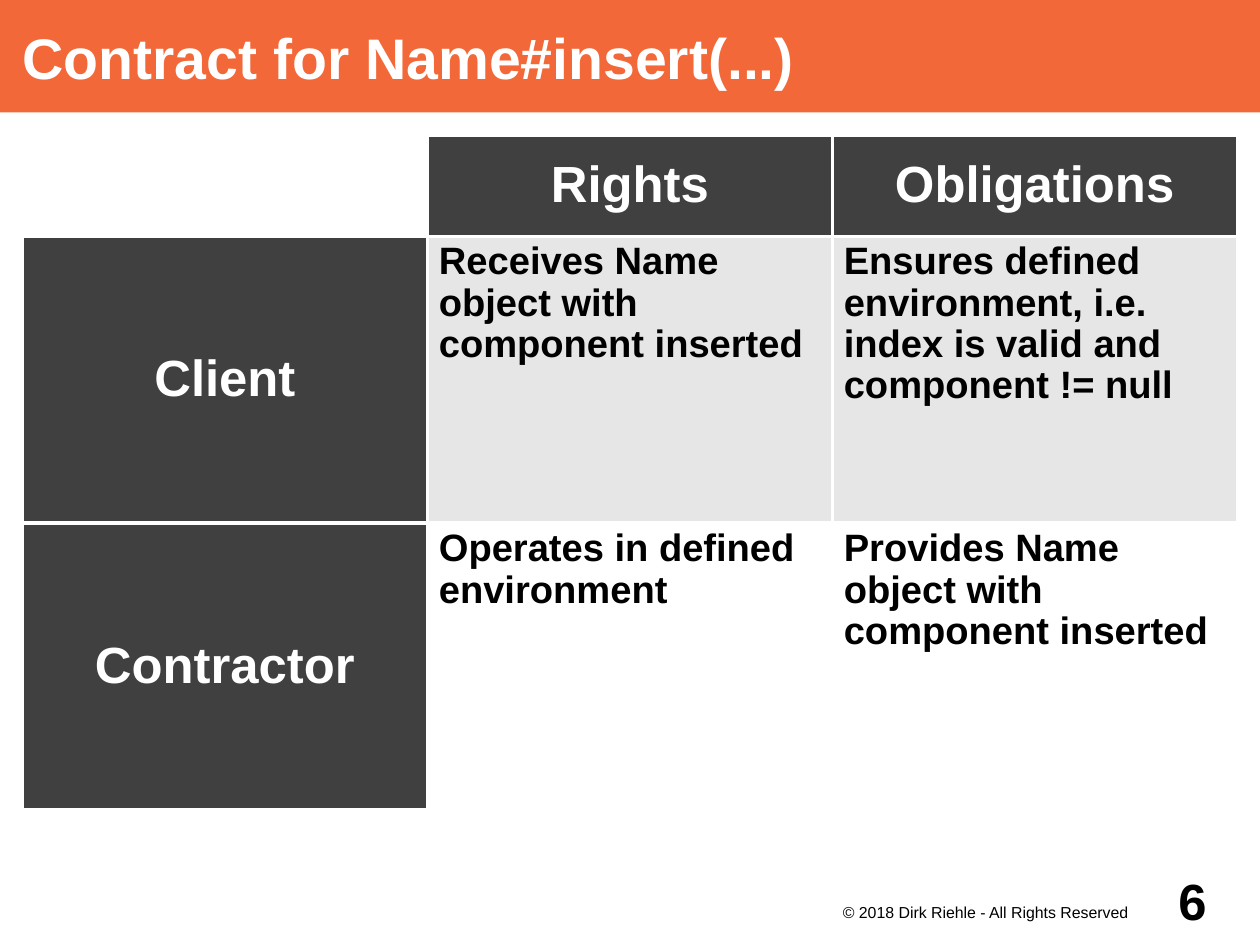
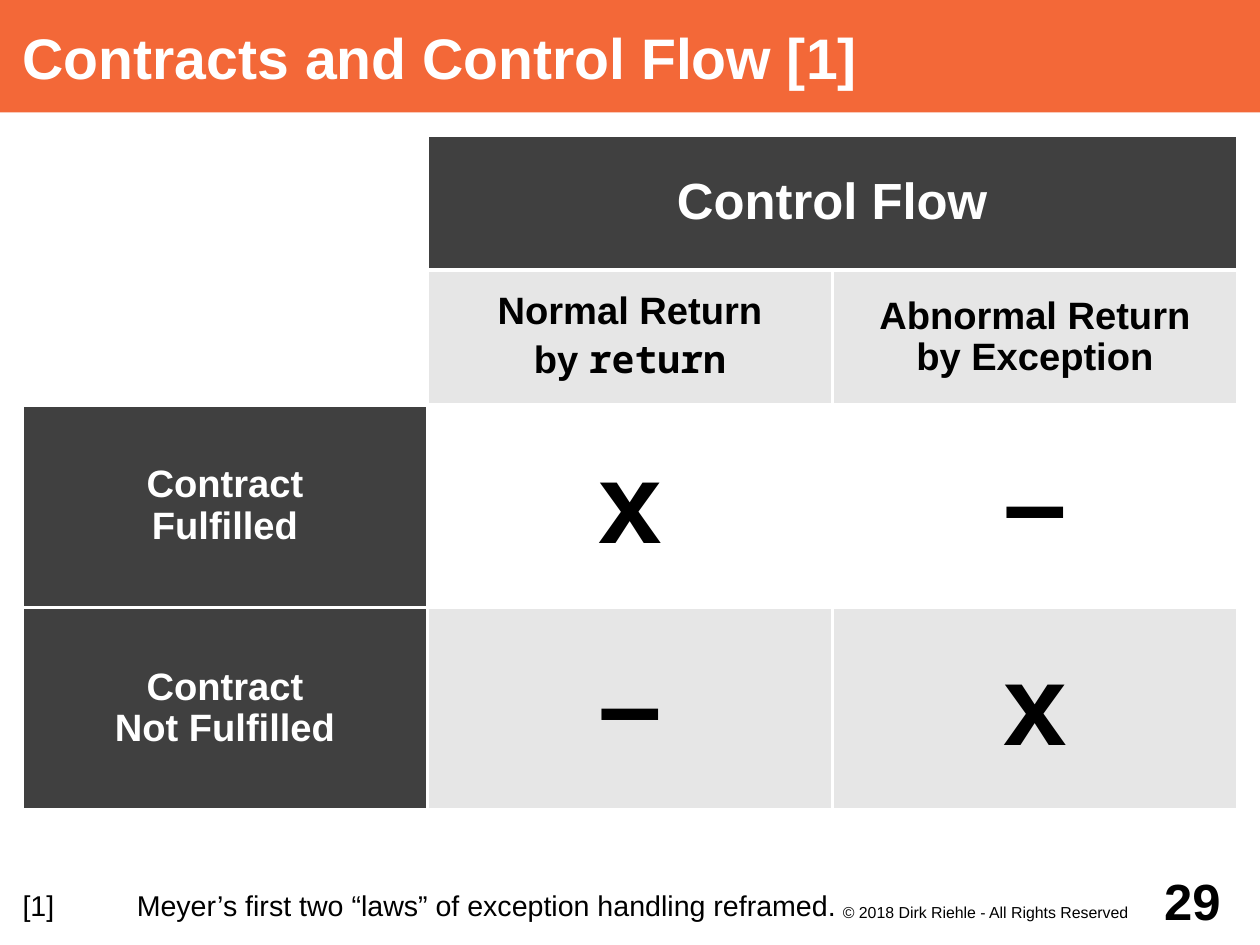
from dataclasses import dataclass

from lxml.etree import SubElement
from pptx import Presentation
from pptx.dml.color import RGBColor
from pptx.enum.text import MSO_ANCHOR, MSO_AUTO_SIZE, PP_ALIGN
from pptx.oxml.ns import qn
from pptx.util import Pt

STEP = 14.17
BORDER = 2.27
SANS, MONO = "Arial", "Noto Sans Mono"
ORANGE, DARK, LIGHT = "F36838", "404040", "E6E6E6"
WHITE, BLACK = "FFFFFF", "000000"
PAGE_SIZE = (56, 42)
TITLE_BOX = (0, 0, 56, 5)
TABLE_BOX = (1, 6, 54, 30)
COPYRIGHT_BOX = (40, 36, 16, 6)
NOTE_BOX = (0, 34, 40, 8)
CORNER_BOX = (36, 38, 20, 4)


@dataclass
class CellStyle:
    fill: str
    size: int = 24
    color: str = BLACK
    align: PP_ALIGN = PP_ALIGN.CENTER
    anchor: MSO_ANCHOR = MSO_ANCHOR.MIDDLE


BLANK = CellStyle(WHITE)
HEADING = CellStyle(DARK, 32, WHITE)
ROW_LABEL = CellStyle(DARK, 24, WHITE)
SUBHEADING = CellStyle(LIGHT)
MARK_PLAIN = CellStyle(WHITE, 72)
MARK_SHADED = CellStyle(LIGHT, 72)
BODY_PLAIN = CellStyle(WHITE, align=PP_ALIGN.LEFT, anchor=MSO_ANCHOR.TOP)
BODY_SHADED = CellStyle(LIGHT, align=PP_ALIGN.LEFT, anchor=MSO_ANCHOR.TOP)


def rgb(value):
    return RGBColor.from_string(value)


def steps(*counts):
    return [Pt(count * STEP) for count in counts]


def set_font(item, size, color, bold=False, name=SANS):
    item.font.name = name
    item.font.size = Pt(size)
    item.font.bold = bold
    item.font.color.rgb = rgb(color)


def set_frame(frame, anchor, insets):
    frame.word_wrap = True
    frame.auto_size = MSO_AUTO_SIZE.NONE
    frame.vertical_anchor = anchor
    (frame.margin_left, frame.margin_top,
     frame.margin_right, frame.margin_bottom) = steps(*insets)


def add_title(page, text):
    title = page.shapes.title
    title.left, title.top, title.width, title.height = steps(*TITLE_BOX)
    title.fill.solid()
    title.fill.fore_color.rgb = rgb(ORANGE)
    set_frame(title.text_frame, MSO_ANCHOR.MIDDLE, (1, 0, 0, 0))
    title.text_frame.text = text
    para = title.text_frame.paragraphs[0]
    para.alignment = PP_ALIGN.LEFT
    set_font(para.runs[0], 36, WHITE, True)


def add_text(page, box, text, size, align, anchor, insets, bold=False):
    frame = page.shapes.add_textbox(*steps(*box)).text_frame
    set_frame(frame, anchor, insets)
    frame.text = text
    para = frame.paragraphs[0]
    para.alignment = align
    set_font(para.runs[0], size, BLACK, bold)
    return para


def add_footer(page, box, number):
    left, top, width, height = box
    add_text(page, (left, top + 2, 16, 2), "© 2018 Dirk Riehle - All Rights Reserved",
             10, PP_ALIGN.CENTER, MSO_ANCHOR.TOP, (0, 0.1, 0.4, 0))
    add_text(page, (left + width - 5, top, 5, height), str(number),
             32, PP_ALIGN.CENTER, MSO_ANCHOR.MIDDLE, (0, 0, 1, 0), True)


def add_note(page, box, label, text):
    para = add_text(page, box, f"{label}\t{text}", 18, PP_ALIGN.LEFT,
                    MSO_ANCHOR.BOTTOM, (1, 0, 0, 1))
    tabs = SubElement(para._p.get_or_add_pPr(), qn("a:tabLst"))
    SubElement(tabs, qn("a:tab"), pos=str(Pt(72)), algn="l")


def set_borders(cell):
    properties = cell._tc.get_or_add_tcPr()
    for side in ("lnL", "lnR", "lnT", "lnB"):
        line = SubElement(properties, qn(f"a:{side}"), w=str(Pt(BORDER)))
        fill = SubElement(line, qn("a:solidFill"))
        SubElement(fill, qn("a:srgbClr"), val=WHITE)


def fill_cell(cell, text, style):
    set_borders(cell)
    cell.fill.solid()
    cell.fill.fore_color.rgb = rgb(style.fill)
    cell.vertical_anchor = style.anchor
    cell.text_frame.text = text.replace("`", "")
    for para, line in zip(cell.text_frame.paragraphs, text.split("\n")):
        para.alignment = style.align
        para.line_spacing = 0.97
        para.text, *rest = line.split("`")
        for part in filter(None, rest):
            para.add_run().text = part
        for index, span in enumerate(para.runs):
            set_font(span, style.size, style.color, True, MONO if index % 2 else SANS)


def add_grid(page, box, heights, rows):
    column_count = len(rows[0])
    table = page.shapes.add_table(len(rows), column_count, *steps(*box)).table
    table.first_row = table.horz_banding = False
    for column in table.columns:
        column.width = Pt(box[2] * STEP / column_count)
    for row_index, (height, row) in enumerate(zip(heights, rows)):
        table.rows[row_index].height = Pt(height * STEP)
        for column_index, (text, style) in enumerate(row):
            fill_cell(table.cell(row_index, column_index), text, style)
    return table


def add_page(deck, title, number):
    page = deck.slides.add_slide(deck.slide_layouts[5])
    add_title(page, title)
    add_footer(page, CORNER_BOX, number)
    return page


def add_contract_page(deck):
    page = add_page(deck, "Contract for Name#insert(...)", 6)
    add_grid(page, TABLE_BOX, (4.5, 12.75, 12.75), [
        [("", BLANK), ("Rights", HEADING), ("Obligations", HEADING)],
        [("Client", HEADING),
         ("Receives Name object with component inserted", BODY_SHADED),
         ("Ensures defined environment, i.e.\nindex is valid and\ncomponent != null",
          BODY_SHADED)],
        [("Contractor", HEADING),
         ("Operates in defined environment", BODY_PLAIN),
         ("Provides Name object with component inserted", BODY_PLAIN)],
    ])


def add_control_flow_page(deck):
    page = add_page(deck, "Contracts and Control Flow [1]", 29)
    table = add_grid(page, TABLE_BOX, (6, 6, 9, 9), [
        [("", BLANK), ("Control Flow", HEADING), ("", HEADING)],
        [("", BLANK), ("Normal Return\nby `return`", SUBHEADING),
         ("Abnormal Return\nby Exception", SUBHEADING)],
        [("Contract\nFulfilled", ROW_LABEL), ("x", MARK_PLAIN), ("–", MARK_PLAIN)],
        [("Contract\nNot Fulfilled", ROW_LABEL), ("–", MARK_SHADED), ("x", MARK_SHADED)],
    ])
    table.cell(0, 1).merge(table.cell(0, 2))
    add_note(page, NOTE_BOX, "[1]",
             "Meyer’s first two “laws” of exception handling reframed.")


def main():
    deck = Presentation()
    deck.slide_width, deck.slide_height = steps(*PAGE_SIZE)
    add_contract_page(deck)
    add_control_flow_page(deck)
    deck.save("out.pptx")


if __name__ == "__main__":
    main()
